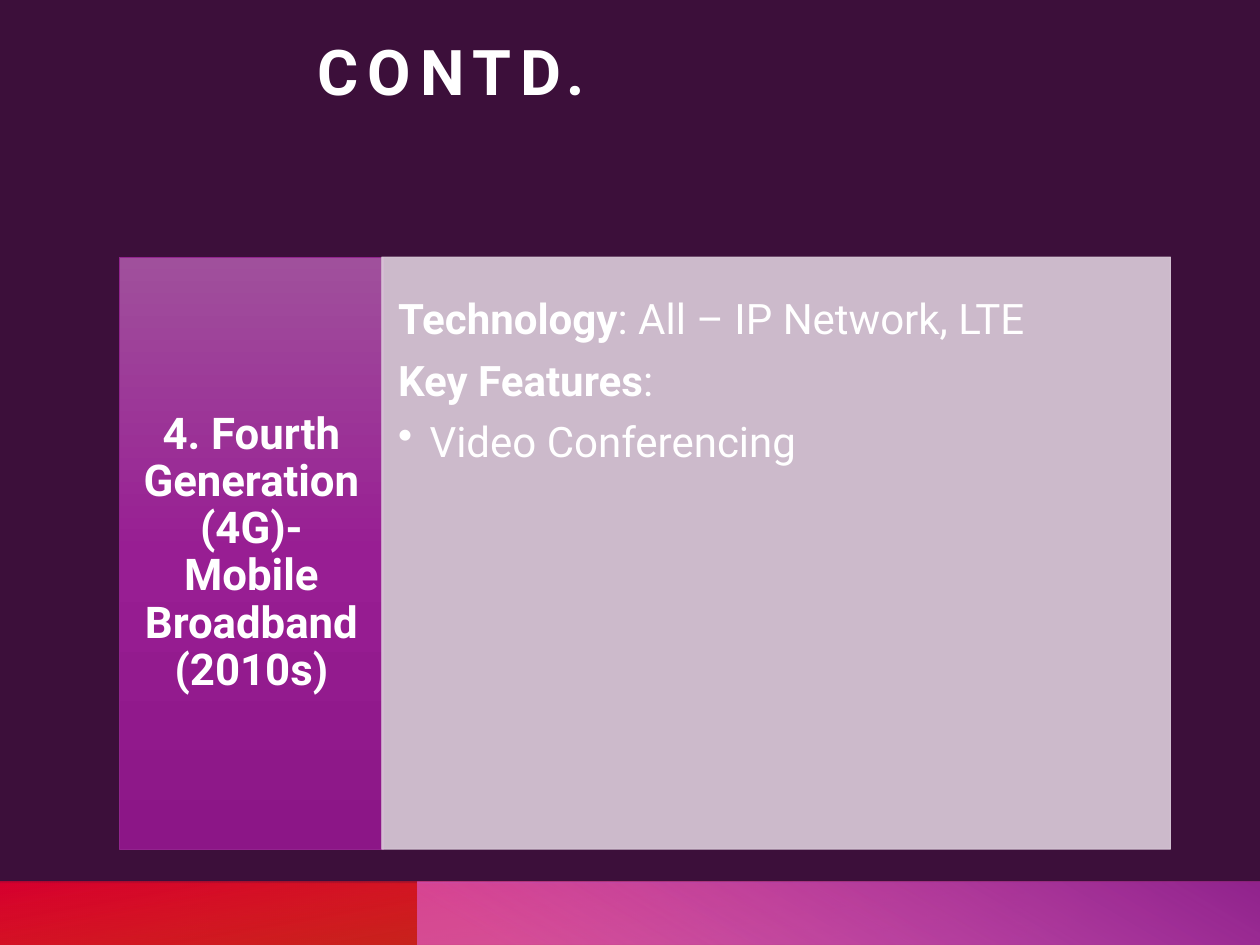
from dataclasses import dataclass

from lxml import etree
from pptx import Presentation
from pptx import util as u
from pptx.dml.color import RGBColor
from pptx.enum import shapes, text
from pptx.oxml.ns import qn

COLORS = {
    "background": "3C0F3A",
    "white": "FFFFFF",
    "orange": "FE4A00",
    "red": "DA002F",
    "pink": "D861D4",
    "purple": "92248E",
    "label_top": "A0509C",
    "label_middle": "981E93",
    "label_bottom": "8C1687",
    "panel": "DCCDDB",
}


def rgb(name):
    return RGBColor.from_string(COLORS[name])


def add_alpha(color, opacity):
    if opacity < 100:
        etree.SubElement(color, qn("a:alpha"), val=str(opacity * 1000))


@dataclass
class SlideBuilder:
    slide: object
    font: str = "Roboto"

    def background(self, name):
        fill = self.slide.background.fill
        fill.solid()
        fill.fore_color.rgb = rgb(name)

    def rect(self, left, top, width, height, line=None):
        box = self.slide.shapes.add_shape(
            shapes.MSO_SHAPE.RECTANGLE, *map(u.Inches, (left, top, width, height)))
        box.shadow.inherit = False
        if line:
            box.line.color.rgb = rgb(line)
            box.line.width = u.Pt(0.5)
        else:
            box.line.fill.background()
        return box

    def solid(self, box, name, opacity):
        box.fill.solid()
        box.fill.fore_color.rgb = rgb(name)
        for color in box._element.spPr.iter(qn("a:srgbClr")):
            add_alpha(color, opacity)

    def gradient(self, box, stops, angle):
        box.fill.gradient()
        grad = box._element.spPr.find(qn("a:gradFill"))
        stop_list = grad.find(qn("a:gsLst"))
        for old in list(stop_list):
            stop_list.remove(old)
        for position, name, opacity in stops:
            stop = etree.SubElement(stop_list, qn("a:gs"), pos=str(position * 1000))
            add_alpha(etree.SubElement(stop, qn("a:srgbClr"), val=COLORS[name]), opacity)
        direction = grad.find(qn("a:lin"))
        direction.set("ang", str(angle * 60000))
        direction.set("scaled", "0")

    def band(self, left, top, width, stops, angle, rotation=0):
        band = self.rect(left, top, width, 0.5)
        band.rotation = rotation
        band._element.spPr.find(qn("a:xfrm")).set("flipH", "1")
        self.gradient(band, stops, angle)

    def frame(self, box, anchor, inset_x, inset_y):
        frame = box.text_frame
        frame.word_wrap = True
        frame.vertical_anchor = anchor
        frame.margin_left = frame.margin_right = u.Inches(inset_x)
        frame.margin_top = frame.margin_bottom = u.Inches(inset_y)
        return frame

    def paragraph(self, paragraph, runs, size, align=text.PP_ALIGN.LEFT,
                  line_spacing=0.9, after=0, bullet=False):
        paragraph.alignment = align
        paragraph.line_spacing = line_spacing
        paragraph.space_after = u.Pt(after)
        if bullet:
            props = paragraph._p.get_or_add_pPr()
            props.set("marL", str(u.Inches(0.25)))
            props.set("indent", str(u.Inches(-0.25)))
            etree.SubElement(props, qn("a:buChar"), char="•")
        for wording, bold in runs:
            run = paragraph.add_run()
            run.text = wording
            run.font.name = self.font
            run.font.size = u.Pt(size)
            run.font.bold = bold
            run.font.color.rgb = rgb("white")

    def title(self, wording, left, top, width, height):
        box = self.slide.shapes.add_textbox(*map(u.Inches, (left, top, width, height)))
        heading = self.frame(box, text.MSO_ANCHOR.MIDDLE, 0.1, 0.05).paragraphs[0]
        self.paragraph(heading, [(wording, True)], 36, line_spacing=1.0)
        heading.runs[0].font._element.set("spc", "520")


def main():
    deck = Presentation()
    deck.slide_width, deck.slide_height = u.Inches(10), u.Inches(7.5)
    builder = SlideBuilder(deck.slides.add_slide(deck.slide_layouts[6]))
    builder.background("background")

    for top in (7, 7.01):
        builder.band(0, top, 10, [(14, "orange", 28), (100, "red", 85)], 100, rotation=180)
        builder.band(3.31, top, 6.69, [(9, "pink", 55), (99, "purple", 100)], 240)

    builder.title("CONTD.", 2.42, 0.17, 7.19, 0.77)

    generation = builder.rect(0.95, 2.04, 2.09, 4.7, line="purple")
    builder.gradient(generation, [(0, "label_top", 100), (50, "label_middle", 100),
                                  (100, "label_bottom", 100)], 90)
    label = builder.frame(generation, text.MSO_ANCHOR.MIDDLE, 0.15, 0.19)
    builder.paragraph(label.paragraphs[0],
                      [("4. Fourth Generation (4G)- Mobile Broadband(2010s)", True)],
                      25, align=text.PP_ALIGN.CENTER)

    details = builder.rect(3.03, 2.04, 6.26, 4.7, line="panel")
    builder.solid(details, "panel", 90)
    body = builder.frame(details, text.MSO_ANCHOR.TOP, 0.13, 0.33)
    features = [
        ([("Technology", True), (": All – IP Network, LTE", False)], False),
        ([("Key Features", True), (":", False)], False),
        ([("Video Conferencing", False)], True),
    ]
    for index, (runs, bullet) in enumerate(features):
        paragraph = body.add_paragraph() if index else body.paragraphs[0]
        builder.paragraph(paragraph, runs, 24, after=9, bullet=bullet)

    deck.save("out.pptx")


if __name__ == "__main__":
    main()
